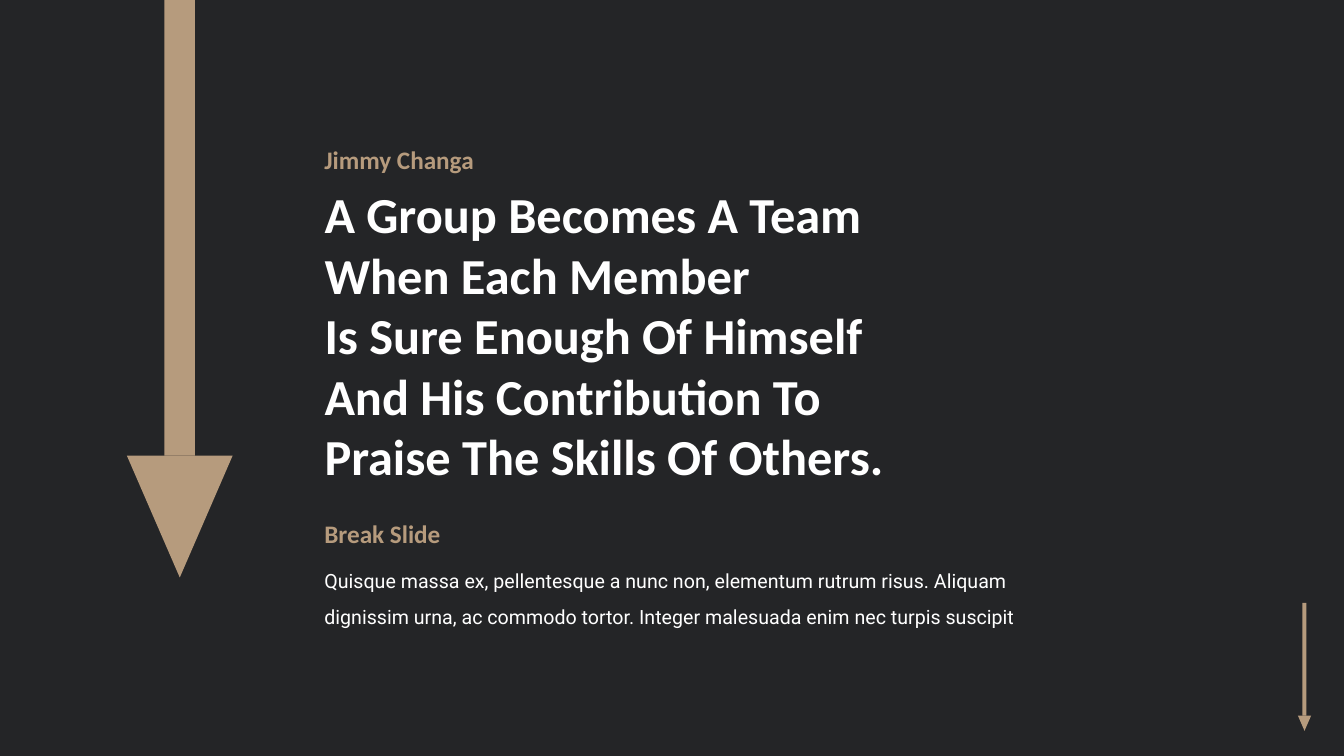
from pptx import Presentation
from pptx.dml.color import RGBColor
from pptx.enum.shapes import MSO_SHAPE
from pptx.enum.text import MSO_ANCHOR, MSO_AUTO_SIZE, PP_ALIGN
from pptx.util import Pt

DARK, SAND, WHITE = "242527", "B69B7D", "FFFFFF"
LEFT = 224.6
QUOTE = """A Group Becomes A Team
When Each Member
Is Sure Enough Of Himself
And His Contribution To
Praise The Skills Of Others."""
BODY = ("Quisque massa ex, pellentesque a nunc non, elementum rutrum risus. "
        "Aliquam dignissim urna, ac commodo tortor. "
        "Integer malesuada enim nec turpis suscipit")


def paint(fill, color):
    fill.solid()
    fill.fore_color.rgb = RGBColor.from_string(color)


def place(shape, x, y, w, h):
    shape.left, shape.top, shape.width, shape.height = map(Pt, (x, y, w, h))


def add_part(slide, kind, x, y, w, h):
    part = slide.shapes.add_shape(kind, Pt(x), Pt(y), Pt(w), Pt(h))
    paint(part.fill, SAND)
    part.line.fill.background()
    part.shadow.inherit = False
    return part


def add_arrow(slide, mid, top, neck, shaft, wide, tall):
    """Draw a down arrow centred on mid: a shaft above a wide head."""
    add_part(slide, MSO_SHAPE.RECTANGLE, mid - shaft / 2, top, shaft, neck - top)
    head = add_part(slide, MSO_SHAPE.ISOSCELES_TRIANGLE,
                    mid - wide / 2, neck, wide, tall)
    head.rotation = 180


def set_text(shape, text, size, color, font="Calibri", bold=True, gap=1.0):
    frame = shape.text_frame
    frame.text = text
    frame.word_wrap = True
    frame.auto_size = MSO_AUTO_SIZE.NONE
    frame.vertical_anchor = MSO_ANCHOR.TOP
    for para in frame.paragraphs:
        para.alignment = PP_ALIGN.LEFT
        para.line_spacing = gap
        for run in para.runs:
            run.font.size = Pt(size)
            run.font.name = font
            run.font.bold = bold
            run.font.color.rgb = RGBColor.from_string(color)


def add_text(slide, y, w, h, *style, **more):
    box = slide.shapes.add_textbox(Pt(LEFT), Pt(y), Pt(w), Pt(h))
    set_text(box, *style, **more)


def main():
    deck = Presentation()
    deck.slide_width, deck.slide_height = Pt(960), Pt(540)
    slide = deck.slides.add_slide(deck.slide_layouts[5])
    paint(slide.background.fill, DARK)

    add_arrow(slide, 931.8, 430.6, 511.2, 2.9, 9.4, 10.8)
    add_arrow(slide, 128.4, 0, 325.4, 21.8, 75.6, 87.1)

    title = slide.shapes.title
    place(title, LEFT, 127.4, 547.2, 225.4)
    set_text(title, QUOTE, 36, WHITE)
    add_text(slide, 99.4, 174.2, 28.8, "Jimmy Changa", 18, SAND)
    add_text(slide, 394.6, 519.1, 55.4, BODY, 14, WHITE,
             font="Roboto", bold=False, gap=1.5)
    add_text(slide, 366.5, 160.6, 28.8, "Break Slide", 18, SAND)
    deck.save("out.pptx")


if __name__ == "__main__":
    main()
